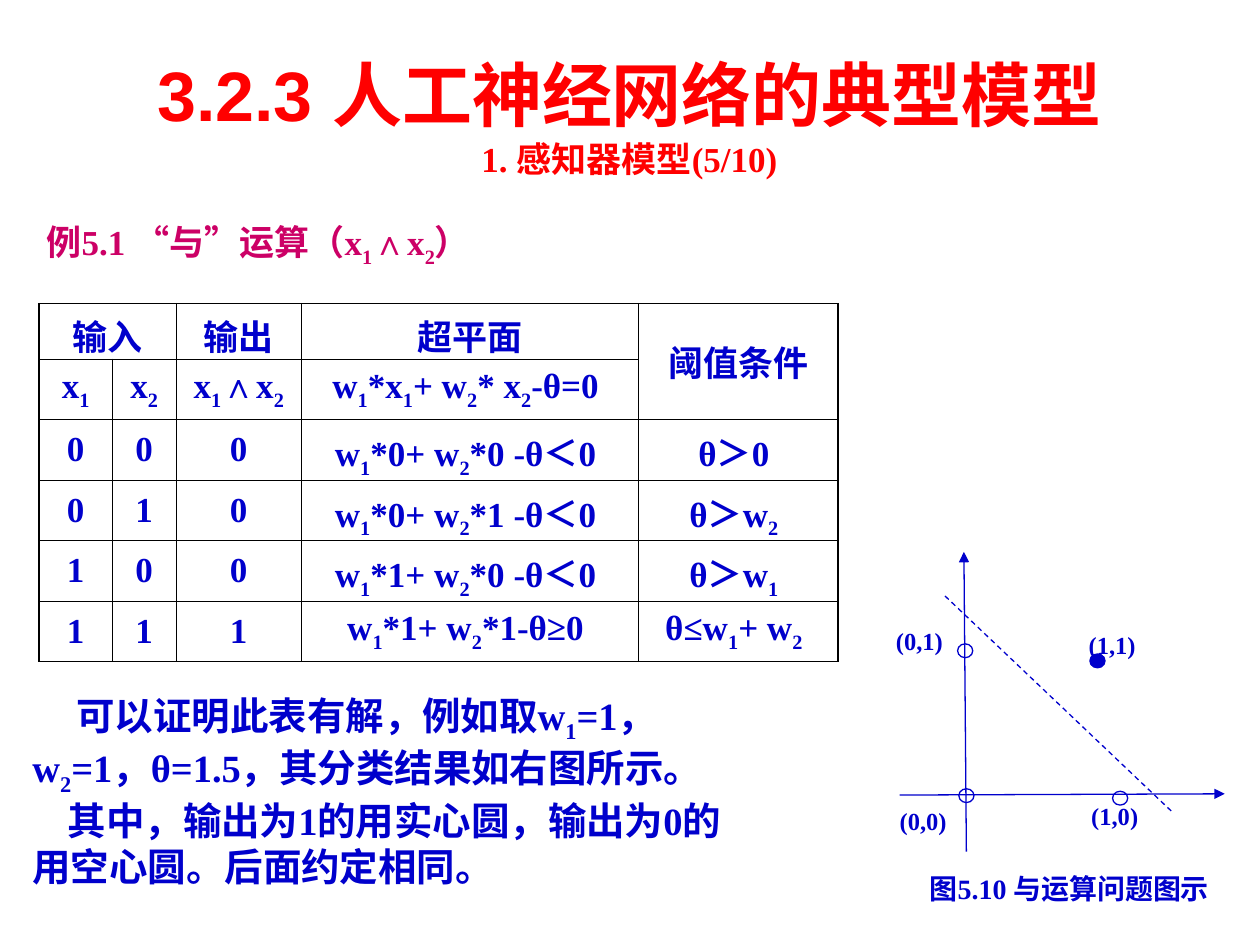
from lxml import etree
from pptx import Presentation
from pptx.dml.color import RGBColor
from pptx.enum import dml, shapes, text
from pptx.oxml.ns import qn
from pptx.util import Inches, Pt

COLORS = {"title": "FF0000", "example": "CC0066", "body": "0000CC",
          "paper": "FFFFFF", "grid": "000000"}
SERIF, SANS = "Times New Roman", "Arial"

# Content; "_" makes the next character a subscript
HEADINGS = [("3.2.3 人工神经网络的典型模型", SANS, 40), ("1. 感知器模型(5/10)", SERIF, 20)]
EXAMPLE = "例5.1 “与”运算（x_1∧x_2）"
TRUTH_TABLE = [
    ["输入", "", "输出", "超平面", "阈值条件"],
    ["x_1", "x_2", "x_1∧x_2", "w_1*x_1+ w_2* x_2-θ=0 ", ""],
    ["0", "0", "0", "w_1*0+ w_2*0 -θ＜0 ", "θ＞0 "],
    ["0", "1", "0", "w_1*0+ w_2*1 -θ＜0 ", "θ＞w_2 "],
    ["1", "0", "0", "w_1*1+ w_2*0 -θ＜0 ", "θ＞w_1 "],
    ["1", "1", "1", "w_1*1+ w_2*1-θ≥0 ", "θ≤w_1+ w_2 "],
]
COLUMN_WIDTHS = [0.58, 0.51, 0.99, 2.68, 1.58]
ROW_HEIGHTS = [0.44] + [0.48] * 5
CONCLUSIONS = [
    ("可以证明此表有解，例如取w_1=1，w_2=1，θ=1.5，其分类结果如右图所示。", 0.35),
    ("其中，输出为1的用实心圆，输出为0的用空心圆。后面约定相同。", 0.28),
]
CAPTION = ("图5.10 与运算问题图示", (7.36, 6.91, 2.37, 0.38))
POINT_LABELS = [
    ("(0,0)", (7.12, 6.39, 0.51, 0.42)),
    ("(1,1)", (8.62, 4.99, 0.71, 0.42)),
    ("(0,1)", (7.09, 4.96, 0.49, 0.42)),
    ("(1,0)", (8.64, 6.35, 0.49, 0.42)),
]
POINTS = [  # left, top, output
    (7.61, 6.26, 0), (8.83, 6.28, 0), (7.6, 5.11, 0), (8.65, 5.19, 1),
]
POINT_SIZE = (0.12, 0.11)
AXES = [((7.14, 6.31), (9.72, 6.3)), ((7.67, 6.76), (7.65, 4.38))]
BOUNDARY = ((7.5, 4.73), (9.31, 6.45))


def rgb(name):
    return RGBColor.from_string(COLORS[name])


def inches(values):
    return [Inches(value) for value in values]


def write(paragraph, content, size=20, font=SERIF, color="body", align=None, indent=0):
    """Fill a paragraph with bold text, lowering the characters after "_"."""
    if align is not None:
        paragraph.alignment = align
    if indent:
        paragraph._p.get_or_add_pPr().set("indent", str(Inches(indent)))
    first, *rest = content.split("_")
    pieces = [(first, False)]
    for part in rest:
        pieces += [(part[0], True), (part[1:], False)]
    for piece, lowered in pieces:
        if not piece:
            continue
        run = paragraph.add_run()
        run.text = piece
        run.font.size, run.font.name, run.font.bold = Pt(size), font, True
        run.font.color.rgb = rgb(color)
        if lowered:
            run._r.get_or_add_rPr().set("baseline", "-25000")


def add_frame(parent, box, margins=(0.1, 0.05)):
    box_shape = parent.add_textbox(*inches(box))
    frame = box_shape.text_frame
    frame.word_wrap = True
    frame.margin_left = frame.margin_right = Inches(margins[0])
    frame.margin_top = frame.margin_bottom = Inches(margins[1])
    return box_shape, frame


def add_label(parent, content, box, size=14):
    label, frame = add_frame(parent, box, margins=(0.02, 0.01))
    label.fill.solid()
    label.fill.fore_color.rgb = rgb("paper")
    write(frame.paragraphs[0], content, size=size, align=text.PP_ALIGN.JUSTIFY)


def add_line(parent, start, end, arrow=False):
    line = parent.add_connector(shapes.MSO_CONNECTOR.STRAIGHT, *inches(start + end))
    line.line.color.rgb, line.line.width = rgb("body"), Pt(0.75)
    if arrow:
        etree.SubElement(line.line._get_or_add_ln(), qn("a:tailEnd"), type="triangle")
    else:
        line.line.dash_style = dml.MSO_LINE.DASH
    etree.SubElement(line._element.spPr, qn("a:effectLst"))


def add_borders(cell, widths):
    properties = cell._tc.get_or_add_tcPr()
    for position, (side, width) in enumerate(widths.items()):
        border = etree.Element(qn(f"a:ln{side}"), w=str(Pt(width)))
        fill = etree.SubElement(border, qn("a:solidFill"))
        etree.SubElement(fill, qn("a:srgbClr"), val=COLORS["grid"])
        properties.insert(position, border)


def add_diagram(slide):
    parts = slide.shapes.add_group_shape().shapes
    for content, box in POINT_LABELS:
        add_label(parts, content, box)
    add_label(parts, *CAPTION, size=16)
    for start, end in AXES:
        add_line(parts, start, end, arrow=True)
    for left, top, output in POINTS:
        point = parts.add_shape(shapes.MSO_SHAPE.OVAL, *inches((left, top) + POINT_SIZE))
        point.shadow.inherit = False
        point.line.color.rgb, point.line.width = rgb("body"), Pt(0.75)
        if output:
            point.fill.solid()
            point.fill.fore_color.rgb = rgb("body")
        else:
            point.fill.background()
    add_line(parts, *BOUNDARY)


def add_truth_table(slide):
    rows, columns = len(ROW_HEIGHTS), len(COLUMN_WIDTHS)
    size = (sum(COLUMN_WIDTHS), sum(ROW_HEIGHTS))
    table = slide.shapes.add_table(rows, columns, *inches((0.31, 2.41) + size)).table
    table.first_row = table.horz_banding = False
    for column, width in zip(table.columns, COLUMN_WIDTHS):
        column.width = Inches(width)
    for row, height in zip(table.rows, ROW_HEIGHTS):
        row.height = Inches(height)
    for r, entries in enumerate(TRUTH_TABLE):
        for c, content in enumerate(entries):
            cell = table.cell(r, c)
            cell.fill.background()
            cell.vertical_anchor = text.MSO_ANCHOR.MIDDLE
            write(cell.text_frame.paragraphs[0], content, align=text.PP_ALIGN.CENTER)
            outer = {"L": c == 0, "R": c == columns - 1, "T": r == 0, "B": r == rows - 1}
            add_borders(cell, {side: 1.08 if edge else 0.45 for side, edge in outer.items()})
    table.cell(0, 0).merge(table.cell(0, 1))
    table.cell(0, 4).merge(table.cell(1, 4))


def main():
    deck = Presentation()
    deck.slide_width, deck.slide_height = Inches(10), Inches(7.5)
    slide = deck.slides.add_slide(deck.slide_layouts[6])

    # Example heading, diagram and table
    _, example = add_frame(slide.shapes, (0.27, 1.7, 3.58, 0.82))
    write(example.paragraphs[0], EXAMPLE, color="example")
    add_diagram(slide)
    add_truth_table(slide)

    # Conclusions
    _, conclusions = add_frame(slide.shapes, (0.16, 5.44, 5.87, 1.67))
    for i, (content, indent) in enumerate(CONCLUSIONS):
        paragraph = conclusions.add_paragraph() if i else conclusions.paragraphs[0]
        write(paragraph, content, size=22, indent=indent)

    # Title and subtitle
    _, title = add_frame(slide.shapes, (0.9, 0.36, 8.19, 1.12))
    for i, (content, font, size) in enumerate(HEADINGS):
        paragraph = title.add_paragraph() if i else title.paragraphs[0]
        write(paragraph, content, size=size, font=font, color="title",
              align=text.PP_ALIGN.CENTER)
        if i:
            paragraph.space_before = Pt(1.2)

    deck.save("out.pptx")


if __name__ == "__main__":
    main()
